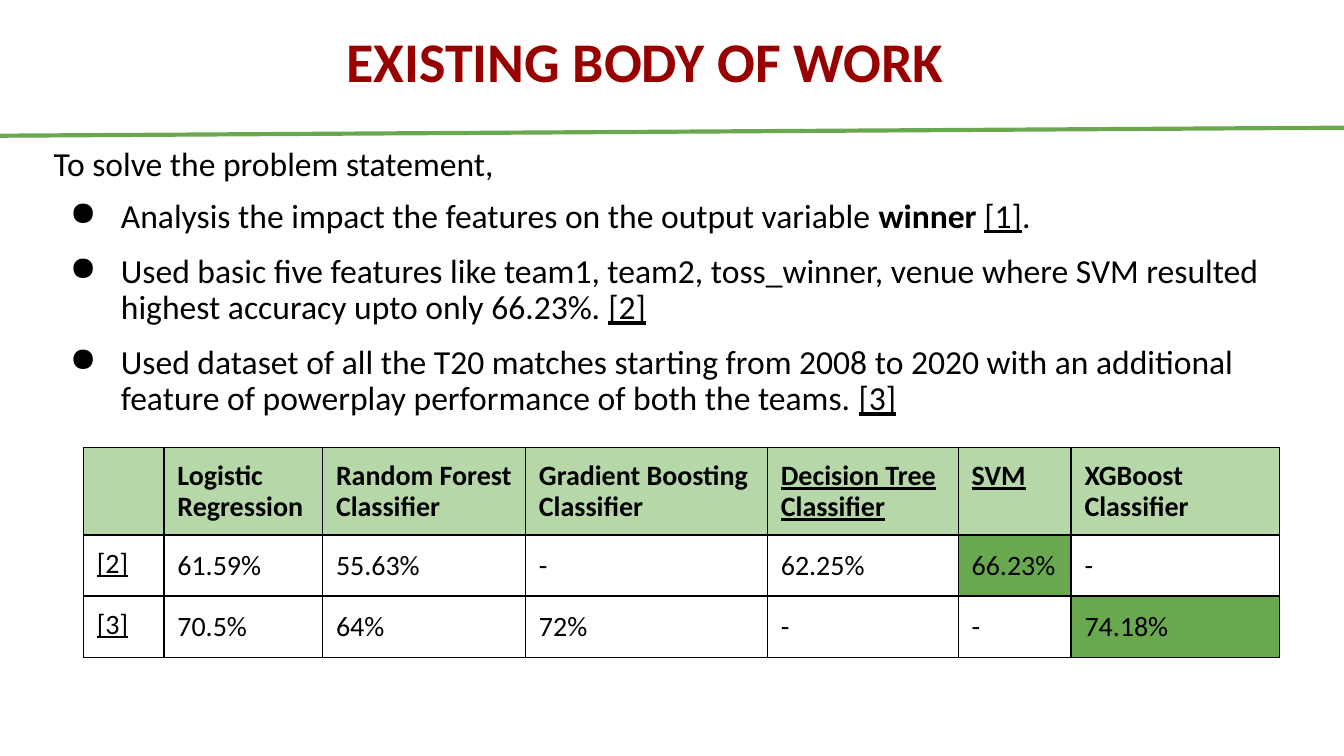
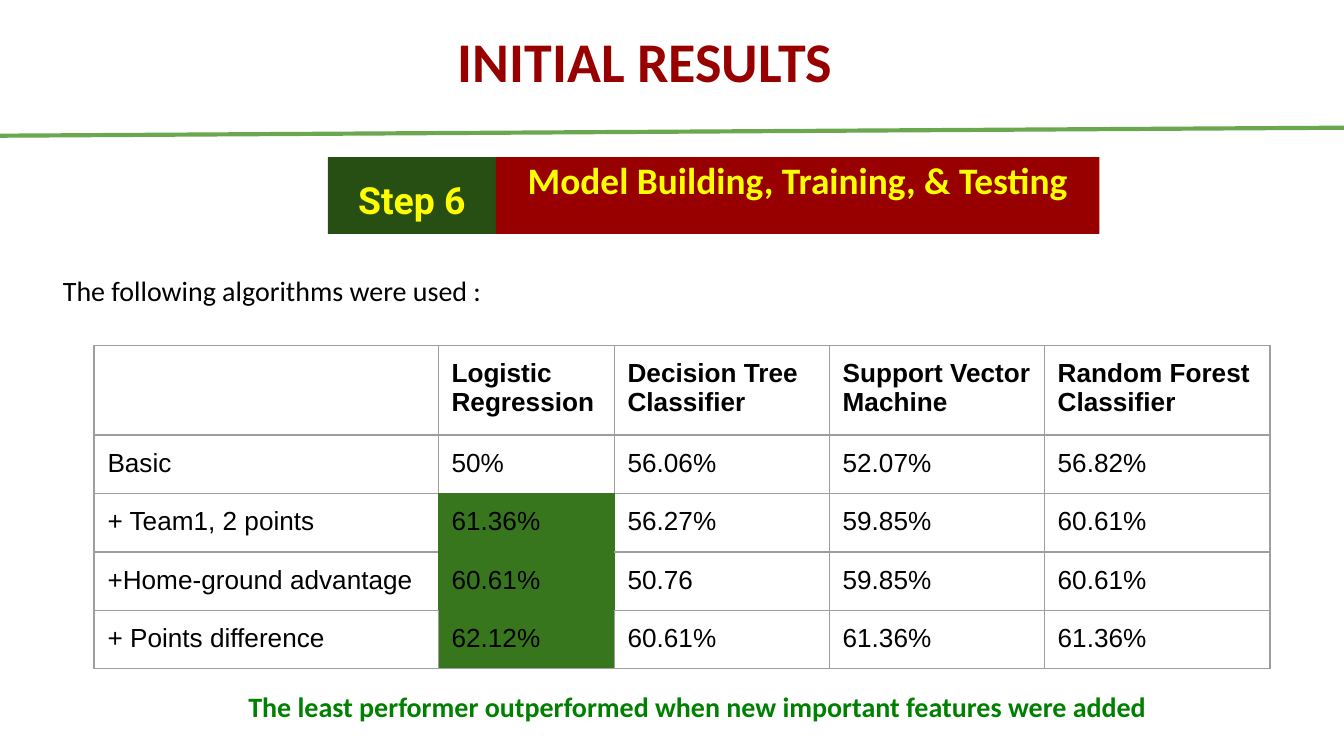
from lxml import etree
from pptx import Presentation
from pptx.dml.color import RGBColor
from pptx.enum.shapes import MSO_CONNECTOR, MSO_SHAPE
from pptx.enum.text import MSO_ANCHOR, PP_ALIGN
from pptx.oxml.ns import qn
from pptx.util import Inches, Pt

TOP, MIDDLE = MSO_ANCHOR.TOP, MSO_ANCHOR.MIDDLE
LEFT, CENTER = PP_ALIGN.LEFT, PP_ALIGN.CENTER
STRAIGHT, RECTANGLE = MSO_CONNECTOR.STRAIGHT, MSO_SHAPE.RECTANGLE

BLACK = RGBColor(0x00, 0x00, 0x00)
GRAY = RGBColor(0x9E, 0x9E, 0x9E)
RED = RGBColor(0x98, 0x00, 0x00)
YELLOW = RGBColor(0xFF, 0xFF, 0x00)
PALE_GREEN = RGBColor(0xB6, 0xD7, 0xA8)
LEAF_GREEN = RGBColor(0x6A, 0xA8, 0x4F)
FOREST_GREEN = RGBColor(0x38, 0x76, 0x1D)
DARK_GREEN = RGBColor(0x27, 0x4E, 0x13)
NOTE_GREEN = RGBColor(0x00, 0x80, 0x00)

COLUMNS, ROWS = 100, 56.25
UNIT = Inches(10) // COLUMNS
NARROW = (0.7, 0.4)
WIDE = (1, 1)
UNDERLINED = {"underline": True}
SIDES = {"L": (0, -1), "R": (0, 1), "T": (-1, 0), "B": (1, 0)}

MODEL_SCORES = [
    ["", "Logistic Regression", "Random Forest Classifier",
     "Gradient Boosting Classifier", "Decision Tree Classifier", "SVM",
     "XGBoost Classifier"],
    ["[2]", "61.59%", "55.63%", "-", "62.25%", "66.23%", "-"],
    ["[3]", "70.5%", "64%", "72%", "-", "-", "74.18%"],
]
FEATURE_SCORES = [
    ["", "Logistic Regression", "Decision Tree Classifier",
     "Support Vector Machine", "Random Forest Classifier"],
    ["Basic", "50%", "56.06%", "52.07%", "56.82%"],
    ["+ Team1, 2 points", "61.36%", "56.27%", "59.85%", "60.61%"],
    ["+Home-ground advantage", "60.61%", "50.76", "59.85%", "60.61%"],
    ["+ Points difference", "62.12%", "60.61%", "61.36%", "61.36%"],
]


def grid(*lengths):
    return [round(length * UNIT) for length in lengths]


def write(paragraph, content, *, size, font="Calibri", color=BLACK, bold=False,
          underline=False, align=LEFT, line=1.0, before=0, after=0, bullet=False):
    """Fill a paragraph from a string or a list of (text, format changes)."""
    paragraph.alignment = align
    paragraph.line_spacing = line
    paragraph.space_before, paragraph.space_after = Pt(before), Pt(after)
    if bullet:
        add_bullet(paragraph)
    runs = [(content, {})] if isinstance(content, str) else content
    for text, changes in runs:
        run = paragraph.add_run()
        run.text = text
        run.font.name, run.font.size = font, Pt(size)
        run.font.color.rgb = color
        run.font.bold = changes.get("bold", bold)
        run.font.underline = changes.get("underline", underline)


def add_bullet(paragraph):
    properties = paragraph._p.get_or_add_pPr()
    properties.set("marL", str(Inches(0.5)))
    properties.set("indent", str(-Inches(0.38)))
    etree.SubElement(properties, qn("a:buChar")).set("char", "●")


def prepare_frame(frame, insets, anchor=TOP):
    frame.word_wrap = True
    frame.vertical_anchor = anchor
    frame.margin_left, frame.margin_top = grid(*insets)
    frame.margin_right, frame.margin_bottom = grid(*insets)


def add_text(slide, box, content, insets=WIDE, anchor=TOP, **style):
    shape = slide.shapes.add_textbox(*grid(*box))
    prepare_frame(shape.text_frame, insets, anchor)
    write(shape.text_frame.paragraphs[0], content, **style)
    return shape


def add_banner(slide, box, fill, text, insets, **style):
    shape = slide.shapes.add_shape(RECTANGLE, *grid(*box))
    shape.shadow.inherit = False
    shape.fill.solid()
    shape.fill.fore_color.rgb = fill
    shape.line.fill.background()
    prepare_frame(shape.text_frame, insets)
    write(shape.text_frame.paragraphs[0], text, size=20, color=YELLOW,
          bold=True, align=CENTER, **style)


def add_rule(slide):
    rule = slide.shapes.add_connector(STRAIGHT, *grid(-0.2, 10.1, 100.2, 9.5))
    rule.line.color.rgb = LEAF_GREEN
    rule.line.width = Pt(2.25)
    etree.SubElement(rule._element.spPr, qn("a:effectLst"))


def add_titled_slide(presentation, title):
    slide = presentation.slides.add_slide(presentation.slide_layouts[6])
    add_rule(slide)
    add_text(slide, (4.9, 0, 86.2, 9.6), title, NARROW, MIDDLE, size=30,
             color=RED, bold=True, align=CENTER, line=0.9)
    return slide


def set_border(cell, side, color):
    border = etree.SubElement(cell._tc.get_or_add_tcPr(), qn(f"a:ln{side}"))
    border.set("w", str(Pt(0.75)))
    fill = etree.SubElement(border, qn("a:solidFill"))
    etree.SubElement(fill, qn("a:srgbClr")).set("val", str(color))


def add_table(slide, corner, widths, heights, values, *, border, fills,
              style_for, framed=(), frame_color=None):
    """Draw a table; framed cells share frame_color edges with neighbours."""
    box = grid(*corner, sum(widths), sum(heights))
    table = slide.shapes.add_table(len(heights), len(widths), *box).table
    table.first_row = table.horz_banding = False
    for column, width in zip(table.columns, grid(*widths)):
        column.width = width
    for row, height in zip(table.rows, grid(*heights)):
        row.height = height
    for row, texts in enumerate(values):
        for column, text in enumerate(texts):
            cell = table.cell(row, column)
            cell.margin_left, cell.margin_top = grid(*WIDE)
            cell.margin_right, cell.margin_bottom = grid(*WIDE)
            for side, (down, across) in SIDES.items():
                touching = {(row, column), (row + down, column + across)}
                edged = touching & set(framed)
                set_border(cell, side, frame_color if edged else border)
            if (row, column) in fills:
                cell.fill.solid()
                cell.fill.fore_color.rgb = fills[row, column]
            else:
                cell.fill.background()
            if text:
                write(cell.text_frame.paragraphs[0], text, **style_for(row, column))


def model_cell_style(row, column):
    label = row == 0 or column == 0
    linked = column == 0 or (row == 0 and column in (4, 5))
    spacing = {"line": 0.9, "before": 8} if label else {}
    return dict(size=15, bold=row == 0, underline=linked, **spacing)


def feature_cell_style(row, column):
    return dict(size=14, font="Arial", bold=row == 0)


def build_existing_work(presentation):
    slide = add_titled_slide(presentation, "EXISTING BODY OF WORK")
    body = add_text(slide, (3.3, 10.6, 92.6, 22.7), "To solve the problem statement,",
                    NARROW, size=18, line=0.9, before=8)
    findings = [
        ([("Analysis the impact the features on the output variable ", {}),
          ("winner", {"bold": True}), (" ", {}), ("[1]", UNDERLINED), (".", {})], 8, 0),
        ([("Used basic five features like team1, team2, toss_winner, venue where "
           "SVM resulted highest accuracy upto only 66.23%. ", {}),
          ("[2]", UNDERLINED)], 10, 0),
        ([("Used dataset of all the T20 matches starting from 2008 to 2020 with an "
           "additional feature of powerplay performance of both the teams. ", {}),
          ("[3]", UNDERLINED)], 10, 10),
    ]
    for content, before, after in findings:
        write(body.text_frame.add_paragraph(), content, size=18, line=0.9,
              before=before, after=after, bullet=True)
    fills = {(0, column): PALE_GREEN for column in range(7)}
    fills.update({(1, 5): LEAF_GREEN, (2, 6): LEAF_GREEN})
    add_table(slide, (6.2, 33.3), (6, 11.8, 15.1, 18, 14.2, 8.4, 15.5),
              (6.5, 4.55, 4.55), MODEL_SCORES, border=BLACK, fills=fills,
              style_for=model_cell_style)


def build_initial_results(presentation):
    slide = add_titled_slide(presentation, "INITIAL RESULTS")
    add_banner(slide, (24.4, 11.7, 12.5, 5.7), DARK_GREEN, "Step 6", WIDE,
               font="Roboto", line=1.15, after=16)
    add_banner(slide, (36.9, 11.7, 44.9, 5.7), RED,
               "Model Building, Training, & Testing", NARROW, line=0.9, before=8)
    add_text(slide, (3.7, 19, 89.3, 8), "The following algorithms were used :",
             size=15, line=1.15, before=6)
    best = [(row, 1) for row in (2, 3, 4)]
    add_table(slide, (7, 25.7), (25.6, 13.1, 16, 16, 16.8),
              (6.6, 4.35, 4.35, 4.35, 4.35), FEATURE_SCORES, border=GRAY,
              fills=dict.fromkeys(best, FOREST_GREEN), style_for=feature_cell_style,
              framed=best[:2], frame_color=FOREST_GREEN)
    add_text(slide, (17.5, 50.3, 71.8, 4.5),
             "The least performer outperformed when new important features were added",
             size=15, color=NOTE_GREEN, bold=True)


def main():
    presentation = Presentation()
    presentation.slide_width, presentation.slide_height = grid(COLUMNS, ROWS)
    build_existing_work(presentation)
    build_initial_results(presentation)
    presentation.save("out.pptx")


if __name__ == "__main__":
    main()
